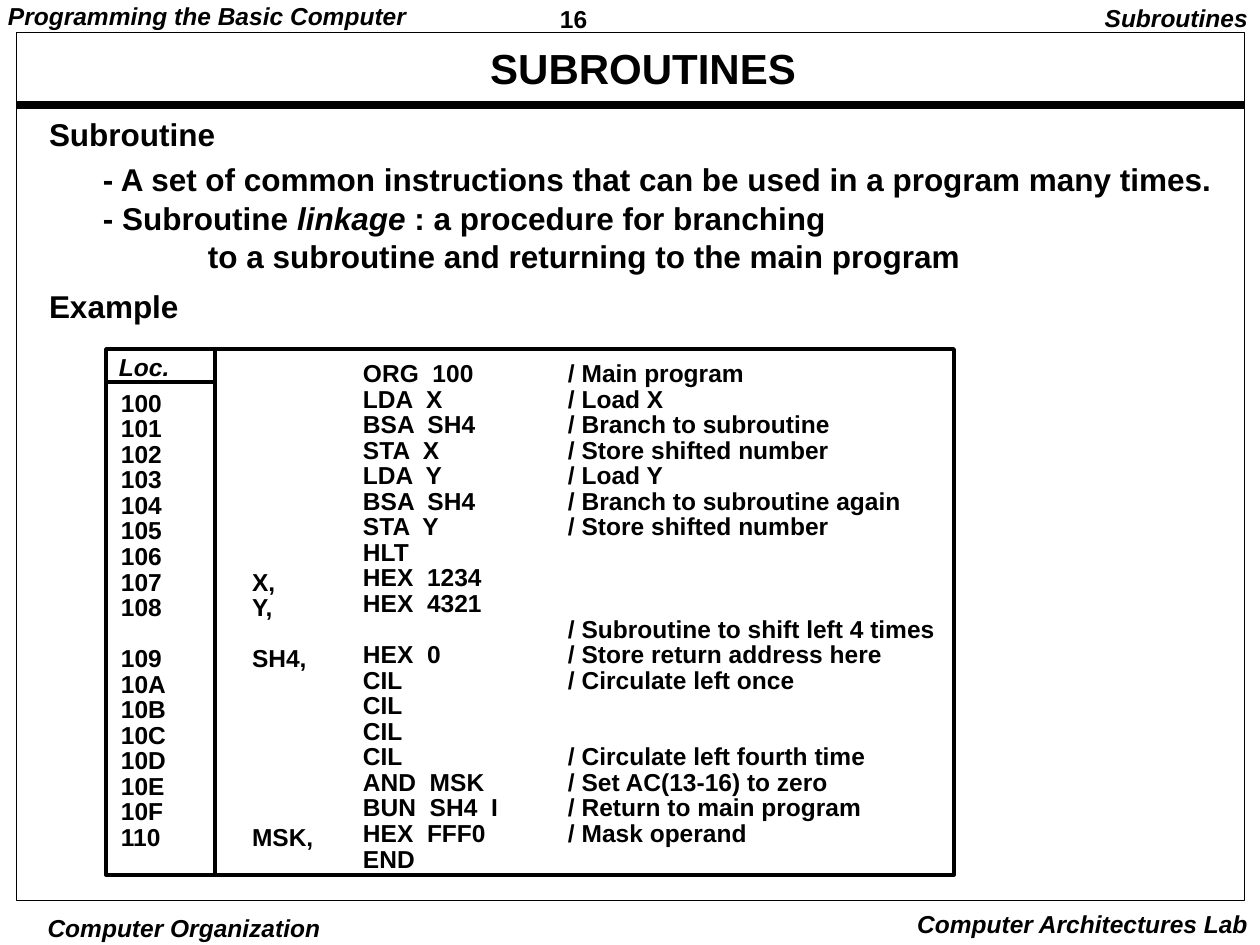
from lxml.etree import SubElement
from pptx import Presentation
from pptx.dml.color import RGBColor
from pptx.enum.shapes import MSO_CONNECTOR, MSO_SHAPE
from pptx.enum.text import MSO_ANCHOR as ANCHOR, PP_ALIGN as ALIGN
from pptx.oxml.ns import qn
from pptx.util import Emu, Pt

INK = "000000"
ROW_PT = 14.6
ROW_PX = ROW_PT * 126 / 72
NORMAL, WIDE, SMALL = (9, 4), (13, 6), (4, 1)

PROGRAM = [
    ("", "", "ORG  100", "/ Main program"),
    ("100", "", "LDA  X", "/ Load X"),
    ("101", "", "BSA  SH4", "/ Branch to subroutine"),
    ("102", "", "STA  X", "/ Store shifted number"),
    ("103", "", "LDA  Y", "/ Load Y"),
    ("104", "", "BSA  SH4", "/ Branch to subroutine again"),
    ("105", "", "STA  Y", "/ Store shifted number"),
    ("106", "", "HLT", ""),
    ("107", "X,", "HEX  1234", ""),
    ("108", "Y,", "HEX  4321", ""),
    ("", "", "", "/ Subroutine to shift left 4 times"),
    ("109", "SH4,", "HEX  0", "/ Store return address here"),
    ("10A", "", "CIL", "/ Circulate left once"),
    ("10B", "", "CIL", ""),
    ("10C", "", "CIL", ""),
    ("10D", "", "CIL", "/ Circulate left fourth time"),
    ("10E", "", "AND  MSK", "/ Set AC(13-16) to zero"),
    ("10F", "", "BUN  SH4  I", "/ Return to main program"),
    ("110", "MSK,", "HEX  FFF0", "/ Mask operand"),
    ("", "", "END", ""),
]


def px(length):
    return Emu(round(length * 914400 / 126))


def color(code):
    return RGBColor.from_string(code)


def add_text(page, box, lines, size, spacing=None, align=ALIGN.LEFT,
             italic=False, inset=NORMAL, anchor=ANCHOR.TOP):
    frame = page.shapes.add_textbox(*map(px, box)).text_frame
    frame.word_wrap = True
    frame.vertical_anchor = anchor
    frame.margin_left = frame.margin_right = px(inset[0])
    frame.margin_top = frame.margin_bottom = px(inset[1])
    for index, line in enumerate(lines):
        para = frame.add_paragraph() if index else frame.paragraphs[0]
        para.alignment = align
        if spacing:
            para.line_spacing = Pt(spacing)
        para.font.name = "Arial"
        para.font.size = Pt(size)
        para.font.bold = True
        para.font.italic = italic
        para.font.color.rgb = color(INK)
        para.add_run().text = line
    return frame


def add_frame(page, box, weight):
    shape = page.shapes.add_shape(MSO_SHAPE.RECTANGLE, *map(px, box))
    shape.shadow.inherit = False
    shape.fill.background()
    shape.line.color.rgb = color(INK)
    shape.line.width = Pt(weight)


def add_rule(page, start, end, weight):
    rule = page.shapes.add_connector(MSO_CONNECTOR.STRAIGHT, *map(px, start + end))
    rule.line.color.rgb = color(INK)
    rule.line.width = Pt(weight)
    SubElement(rule._element.spPr, qn("a:effectLst"))


def add_page_frame(page, box):
    left, top, width, height = box
    right, bottom = left + width, top + height
    add_frame(page, box, 0.5)
    add_rule(page, (left, top + 72), (right, top + 72), 4.5)
    add_text(page, (left + 535, 0, 136, 37), ["16"], 14, 17)
    add_text(page, (left - 17, 0, 430, 34), ["Programming the Basic Computer"],
             14, 15.1, italic=True)
    add_text(page, (right - 160, 0, 177, 39), ["Subroutines"], 14, 15.1,
             ALIGN.RIGHT, True, WIDE)
    add_text(page, (left + 20, bottom + 11, 296, 33), ["Computer Organization"],
             14, None, ALIGN.CENTER, True, SMALL)
    add_text(page, (right - 347, bottom + 2, 364, 42), ["Computer Architectures Lab"],
             14, None, ALIGN.RIGHT, True, WIDE)
    add_text(page, (left + 96, top + 11, 1062, 52), ["SUBROUTINES"], 24, 25.9,
             ALIGN.CENTER, anchor=ANCHOR.MIDDLE)


def add_definition(page, box):
    left, top, width, height = box
    add_text(page, (left, top, 210, 47), ["Subroutine"], 18, 19.4, inset=WIDE)
    frame = add_text(page, (left + 58, top + 43, width - 58, height - 43), [
        "- A set of common instructions that can be used in a program many times.",
        "- Subroutine ",
        "to a subroutine and returning to the main program",
    ], 18, 21.8)
    linkage, result = frame.paragraphs[1:]
    span = linkage.add_run()
    span.text = "linkage "
    span.font.italic = True
    linkage.add_run().text = ": a procedure for branching"
    result._p.get_or_add_pPr().set("marL", str(px(105)))


def add_column(page, left, top, width, cells):
    filled = [row for row, cell in enumerate(cells) if cell]
    first, last = filled[0], filled[-1]
    box = (left, top + first * ROW_PX, width, (last - first + 1) * ROW_PX + 8)
    frame = add_text(page, box, [cells[row] for row in filled], 14, ROW_PT)
    for para, before, row in zip(frame.paragraphs[1:], filled, filled[1:]):
        para.space_before = Pt((row - before - 1) * ROW_PT)


def add_listing(page, box):
    left, top, width, height = box
    divider = left + 109
    add_frame(page, box, 2)
    add_rule(page, (divider, top + 1), (divider, top + height), 2.25)
    add_rule(page, (left + 2, top + 33), (divider, top + 33), 2.25)
    add_text(page, (left + 4, top, 80, 35), ["Loc."], 14, 16.3, italic=True)
    columns = [(6, 13, 75), (137, 13, 110), (248, 9, 180), (453, 9, 394)]
    for (offset, drop, column_width), cells in zip(columns, zip(*PROGRAM)):
        add_column(page, left + offset, top + drop, column_width, cells)


def main():
    deck = Presentation()
    deck.slide_width, deck.slide_height = px(1260), px(945)
    page = deck.slides.add_slide(deck.slide_layouts[6])
    add_page_frame(page, (16, 33, 1228, 868))
    add_definition(page, (36, 113, 1206, 164))
    add_text(page, (36, 285, 170, 47), ["Example"], 18, 19.4, inset=WIDE)
    add_listing(page, (106, 349, 848, 526))
    deck.save("out.pptx")


if __name__ == "__main__":
    main()
